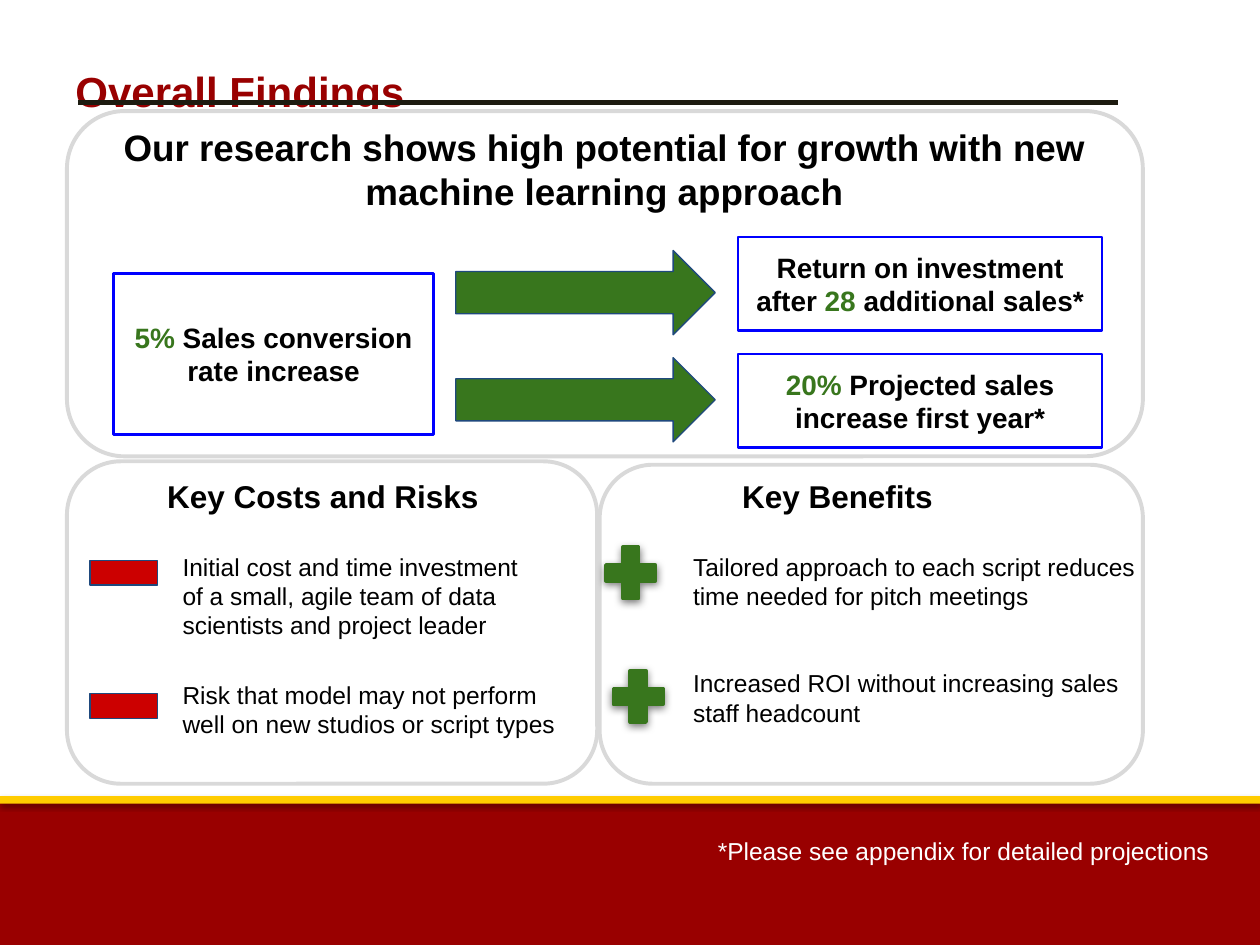
from lxml import etree
from pptx import Presentation
from pptx.dml.color import RGBColor
from pptx.enum.shapes import MSO_CONNECTOR, MSO_SHAPE
from pptx.enum.text import MSO_ANCHOR, MSO_AUTO_SIZE, PP_ALIGN
from pptx.oxml.ns import qn
from pptx.util import Cm, Pt

RECT, ROUND = MSO_SHAPE.RECTANGLE, MSO_SHAPE.ROUNDED_RECTANGLE
ARROW, PLUS, MINUS = MSO_SHAPE.RIGHT_ARROW, MSO_SHAPE.MATH_PLUS, MSO_SHAPE.MATH_MINUS
LEFT, MID = PP_ALIGN.LEFT, PP_ALIGN.CENTER
TOP, MIDDLE = MSO_ANCHOR.TOP, MSO_ANCHOR.MIDDLE
LINE, FIXED = MSO_CONNECTOR.STRAIGHT, MSO_AUTO_SIZE.NONE

THEME = {
    "font": "Arial",
    "title": 24, "lead": 21, "head": 18, "box": 16, "body": 14,
    "red": "990000", "gold": "FFCC00", "white": "FFFFFF", "black": "000000",
    "gray": "D9D9D9", "rule": "1D1B10", "green": "38761D", "minus": "CC0000",
    "navy": "1F497D", "blue": "0000FF",
}

TITLE = "Overall Findings"
LEAD = "Our research shows high potential for growth with new machine learning approach"
NOTE = "*Please see appendix for detailed projections"
PANELS = [(1.35, 9.3, 10.69, 6.5), (12.09, 9.37, 10.95, 6.43), (1.35, 2.24, 21.69, 6.96)]
HEADS = [("Key Costs and Risks", (3.12, 9.37, 6.83, 1.27)),
         ("Key Benefits", (14.71, 9.37, 6.25, 1.27))]
CAUSE = [("5%", "green"), (" Sales conversion rate increase", "black")]
RESULTS = [
    [("Return on investment after ", "black"), ("28 ", "green"), ("additional sales*", "black")],
    [("20%", "green"), (" Projected sales increase first year*", "black")],
]
COSTS = [
    ("Initial cost and time investment of a small, agile team of data scientists and project leader",
     10.49, (3.43, 10.87, 7.72, 2.31)),
    ("Risk that model may not perform well on new studios or script types",
     13.18, (3.43, 13.46, 8.1, 1.7)),
]
BENEFITS = [
    ("Tailored approach to each script reduces time needed for pitch meetings", (12.04, 10.85)),
    ("Increased ROI without increasing sales staff headcount", (12.19, 13.34)),
]


def rgb(name):
    return RGBColor.from_string(THEME[name])


def place(item, area):
    item.left, item.top, item.width, item.height = map(Cm, area)


def shade(shape, alpha, blur, dist):
    effects = etree.SubElement(shape.element.spPr, qn("a:effectLst"))
    outer = etree.SubElement(effects, qn("a:outerShdw"), blurRad=str(Pt(blur)),
                             dist=str(Pt(dist)), dir="5400000", rotWithShape="0")
    color = etree.SubElement(outer, qn("a:srgbClr"), val=THEME["black"])
    etree.SubElement(color, qn("a:alpha"), val=str(alpha * 1000))


def draw(kind, area, fill=None, line=None, width=0.75, glow=None):
    shape = slide.shapes.add_shape(kind, *map(Cm, area))
    if fill:
        shape.fill.solid()
        shape.fill.fore_color.rgb = rgb(fill)
    else:
        shape.fill.background()
    if line:
        shape.line.color.rgb = rgb(line)
        shape.line.width = Pt(width)
    else:
        shape.line.fill.background()
    if glow:
        shade(shape, *glow)
    else:
        shape.shadow.inherit = False
    return shape


def write(shape, paras, size, bold=False, align=LEFT, anchor=TOP, gap=0):
    frame = shape.text_frame
    frame.word_wrap = True
    frame.auto_size = FIXED
    frame.vertical_anchor = anchor
    frame.margin_left = frame.margin_right = Cm(0.25)
    frame.margin_top = frame.margin_bottom = Cm(0.25)
    for i, runs in enumerate(paras):
        para = frame.add_paragraph() if i else frame.paragraphs[0]
        para.alignment = align
        para.space_before = Pt(gap if i else 0)
        for text, color in runs:
            run = para.add_run()
            run.text = text
            run.font.name = THEME["font"]
            run.font.size = Pt(THEME[size])
            run.font.bold = bold
            run.font.color.rgb = rgb(color)
    return frame


def label(text, area, size, color="black", **style):
    write(slide.shapes.add_textbox(*map(Cm, area)), [[(text, color)]], size, **style)


deck = Presentation()
deck.slide_width, deck.slide_height = Cm(25.4), Cm(19.05)
slide = deck.slides.add_slide(deck.slide_layouts[1])
title, body = slide.placeholders[0], slide.placeholders[1]

place(title, (1.27, 0.94, 20.96, 2.18))
write(title, [[(TITLE, "red")]], "title", bold=True).margin_top = Cm(0.38)

draw(RECT, (0, 16.13, 25.4, 2.92), "red", glow=(35, 3.1, 1.8))
draw(RECT, (0, 16.05, 25.4, 0.15), "gold", glow=(37, 3.1, 1.6))
rule = slide.shapes.add_connector(LINE, Cm(1.57), Cm(2.06), Cm(22.53), Cm(2.06))
rule.line.color.rgb = rgb("rule")
rule.line.width = Pt(3)
etree.SubElement(rule.element.spPr, qn("a:effectLst"))

for area in PANELS:
    draw(ROUND, area, "white", "gray", 2.25)
for text, area in HEADS:
    label(text, area, "head", bold=True)
label(LEAD, (1.24, 2.26, 21.89, 2.31), "lead", bold=True, align=MID)

cause = draw(RECT, (2.29, 5.51, 6.45, 3.25), None, "blue", 1.5)
write(cause, [CAUSE], "box", bold=True, align=MID, anchor=MIDDLE)
for i, runs in enumerate(RESULTS):
    draw(ARROW, (9.19, 5.05 + 2.16 * i, 5.23, 1.7), "green", "navy")
    box = draw(RECT, (14.88, 4.78 + 2.36 * i, 7.34, 1.88), None, "blue", 1.5)
    write(box, [runs], "box", bold=True, align=MID, anchor=MIDDLE)

for text, top, area in COSTS:
    draw(MINUS, (1.57, top, 1.85, 2.11), "minus", "navy")
    label(text, area, "body")

for text, spot in BENEFITS:
    draw(PLUS, (*spot, 1.35, 1.4), "green", "green", 2.25, (50, 4.5, 1.5))
place(body, (13.72, 10.87, 9.5, 5.31))
slide.shapes.element.append(body.element)
frame = write(body, [[(text, "black")] for text, spot in BENEFITS], "body", gap=33)
for para in frame.paragraphs:
    props = para.runs[0].font and para.line_spacing
    para.line_spacing = 1.0
    node = para.runs[0].text and frame.paragraphs
for node in body.element.iter(qn("a:pPr")):
    node.set("marL", "0")
    node.set("indent", "0")
    etree.SubElement(node, qn("a:buNone"))

label(NOTE, (14.22, 16.61, 10.44, 1.12), "body", "white")
deck.save("out.pptx")
